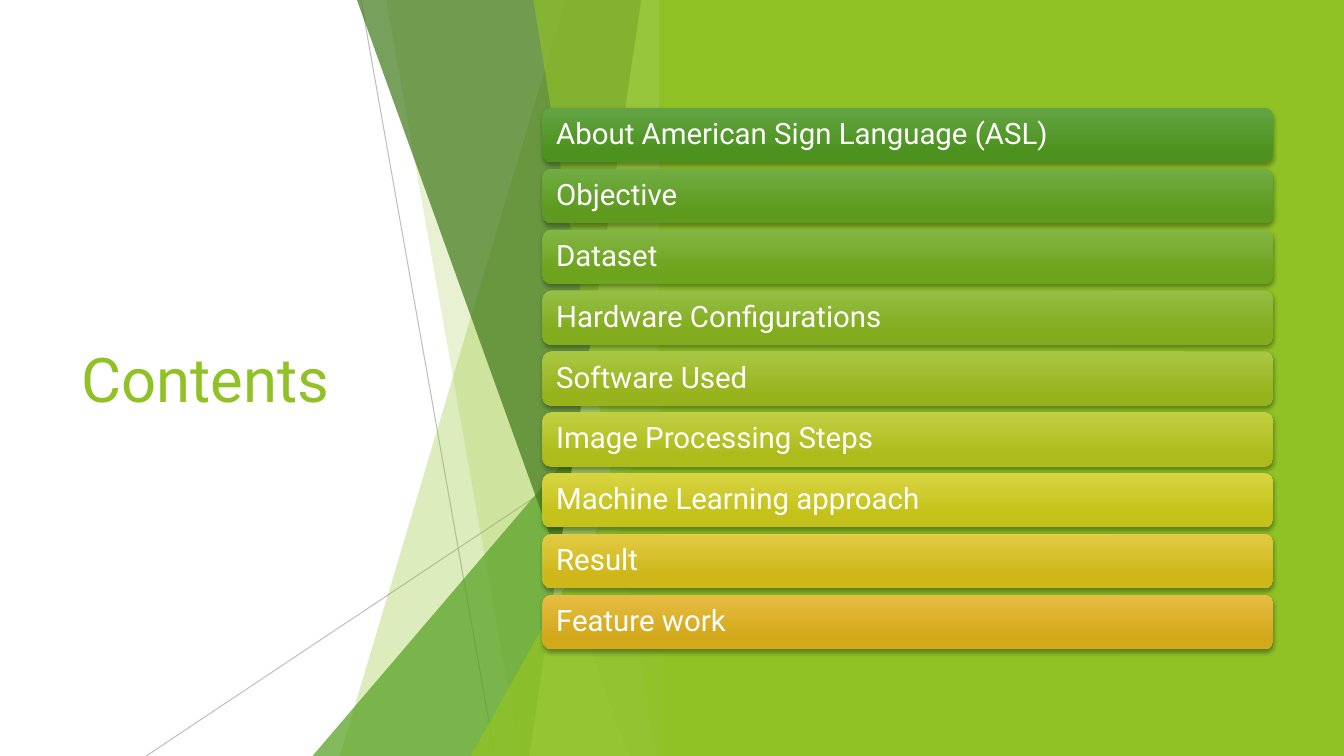
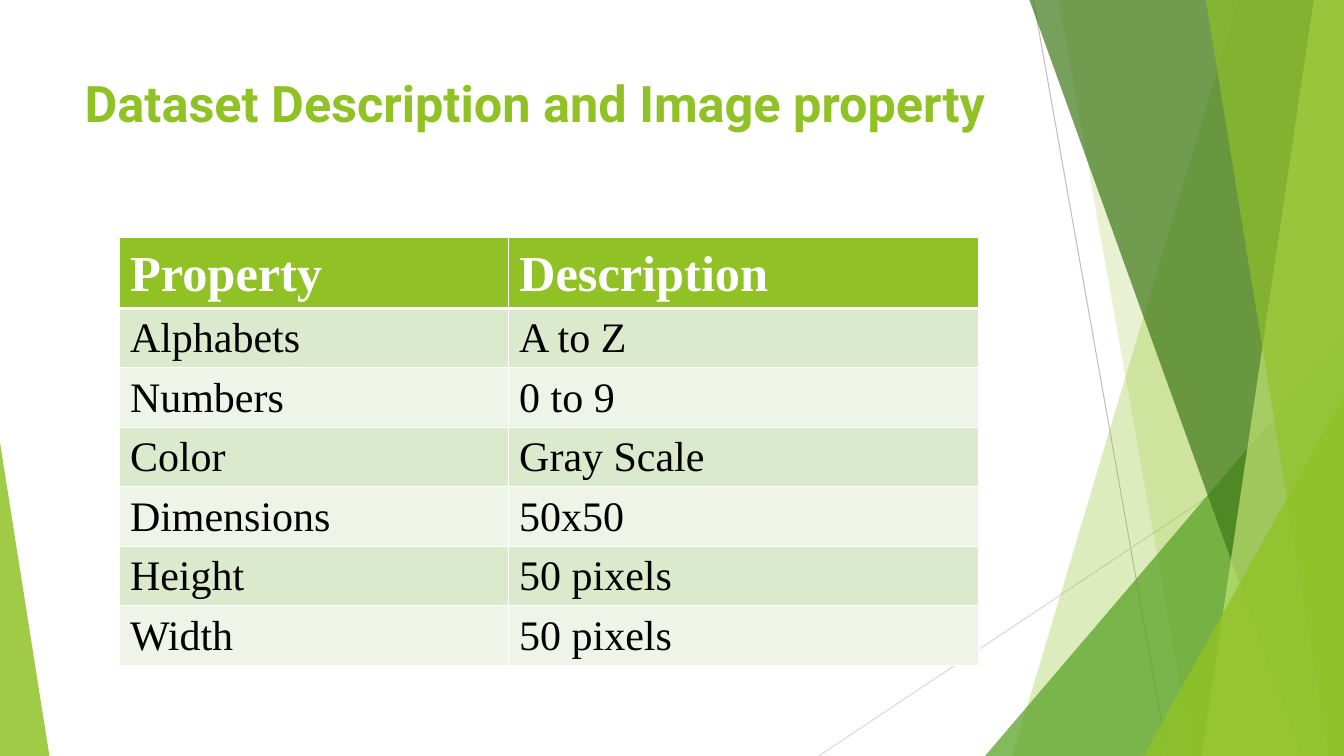
import pptx
import pptx.util
import pptx.dml.color
import pptx.enum.shapes
import pptx.enum.text
import pptx.oxml
import pptx.oxml.ns
import lxml.etree

EMU_PER_PX = 9144
WIDTH, HEIGHT = 1333, 750
TITLE_ONLY = 5

COLORS = {
    "green": "90C226", "mid": "54A021", "dark": "3F7819", "lime": "C0E474",
    "ray": "BFBFBF", "pale ray": "D9D9D9", "white": "FFFFFF", "black": "000000",
    "odd row": "DBE9CD", "even row": "EEF4E8",
}
SHAPES = pptx.enum.shapes.MSO_SHAPE
ALIGN = pptx.enum.text.PP_ALIGN
ANCHOR = pptx.enum.text.MSO_ANCHOR

# Blades give their top and bottom x, peaks their left and top; all end at the right edge.
FACETS = [
    ("blade", 1228, 1004, "green", 30),
    ("blade", 1050, 1183, "green", 20),
    ("peak", 977, 333, "mid", 72),
    ("blade", 1021, 1291, "dark", 70),
    ("blade", 1303, 1192, "lime", 70),
    ("blade", 1196, 1318, "green", 65),
    ("peak", 1134, 393, "green", 80),
]
RAYS = [((1025, 0), (1158, 750)), ((1333, 403), (812, 750))]

# Each topic has the upper and lower colour of its bar.
TOPICS = [
    ("About American Sign Language (ASL)", "63A545", "4D921E"),
    ("Objective", "71AD44", "5D9A1E"),
    ("Dataset", "82B644", "6EA31D"),
    ("Hardware Configurations", "95BE44", "82AB1D"),
    ("Software Used", "AAC744", "97B31C"),
    ("Image Processing Steps", "C2CF43", "AEBC1B"),
    ("Machine Learning approach", "D8D543", "C4C11A"),
    ("Result", "E2CB43", "CDB719"),
    ("Feature work", "E7BC43", "D2A91B"),
]
PROPERTIES = [
    ("Property", "Description"),
    ("Alphabets", "A to Z"),
    ("Numbers", "0 to 9"),
    ("Color", "Gray Scale"),
    ("Dimensions", "50x50"),
    ("Height", "50 pixels"),
    ("Width", "50 pixels"),
]


def px(length):
    return pptx.util.Emu(round(length * EMU_PER_PX))


def rgb(color):
    return pptx.dml.color.RGBColor.from_string(COLORS.get(color, color))


def assign(target, values):
    for name, value in values.items():
        setattr(target, name, value)


def write(frame, text, size, color, font="Roboto", bold=False, **paragraph_format):
    """Put one formatted paragraph into a text frame."""
    paragraph = frame.paragraphs[0]
    assign(paragraph, paragraph_format)
    run = paragraph.add_run()
    run.text = text
    assign(run.font, {"name": font, "size": pptx.util.Pt(size), "bold": bold})
    run.font.color.rgb = rgb(color)


def set_title(slide, text, box, size, anchor, bold=False):
    title = slide.shapes.title
    assign(title, dict(zip(("left", "top", "width", "height"), map(px, box))))
    assign(title.text_frame, {"vertical_anchor": anchor, "word_wrap": True,
                              "auto_size": pptx.enum.text.MSO_AUTO_SIZE.NONE})
    write(title.text_frame, text, size, "green", bold=bold, alignment=ALIGN.LEFT)


def paint(shape, color, opacity=100):
    """Give a shape a flat fill without outline or shadow."""
    shape.shadow.inherit = False
    shape.line.fill.background()
    shape.fill.solid()
    shape.fill.fore_color.rgb = rgb(color)
    if opacity < 100:
        tint = shape._element.spPr.find(".//" + pptx.oxml.ns.qn("a:srgbClr"))
        lxml.etree.SubElement(tint, pptx.oxml.ns.qn("a:alpha"), val=str(opacity * 1000))


def add_block(slide, kind, left, top, width, height):
    return slide.shapes.add_shape(kind, *map(px, (left, top, width, height)))


def add_peak(slide, left, top, right, apex, color, opacity):
    """Add a right triangle on the bottom edge; apex is 0 for left, 1 for right."""
    peak = add_block(slide, SHAPES.ISOSCELES_TRIANGLE, left, top, right - left, HEIGHT - top)
    peak.adjustments[0] = apex
    paint(peak, color, opacity)


def add_blade(slide, top_x, bottom_x, right, color, opacity):
    outline = slide.shapes.build_freeform(px(top_x), px(0))
    corners = [(right, 0), (right, HEIGHT), (bottom_x, HEIGHT)]
    outline.add_line_segments([(px(x), px(y)) for x, y in corners])
    paint(outline.convert_to_shape(), color, opacity)


def add_ray(slide, start, end, color):
    ray = slide.shapes.add_connector(
        pptx.enum.shapes.MSO_CONNECTOR.STRAIGHT, *map(px, start + end))
    ray.line.width = pptx.util.Pt(0.75)
    ray.line.color.rgb = rgb(color)
    lxml.etree.SubElement(ray._element.spPr, pptx.oxml.ns.qn("a:effectLst"))


def add_facets(slide, right, ray_colors):
    """Draw the faceted band so that it ends at the given x."""
    shift = right - WIDTH
    for ((x1, y1), (x2, y2)), color in zip(RAYS, ray_colors):
        add_ray(slide, (x1 + shift, y1), (x2 + shift, y2), color)
    for kind, first, second, color, opacity in FACETS:
        if kind == "blade":
            add_blade(slide, first + shift, second + shift, right, color, opacity)
        else:
            add_peak(slide, first + shift, second, right, 1, color, opacity)


def add_topic_bar(slide, top, topic, upper, lower):
    bar = add_block(slide, SHAPES.ROUNDED_RECTANGLE, 538, top, 725, 54)
    bar.line.fill.background()
    bar.fill.gradient()
    bar.fill.gradient_angle = 270
    for stop, color, position in zip(bar.fill.gradient_stops, (upper, lower), (0, 0.78)):
        stop.color.rgb = rgb(color)
        stop.position = position
    bar.shadow.inherit = False
    effects = bar._element.spPr.find(pptx.oxml.ns.qn("a:effectLst"))
    effects.append(pptx.oxml.parse_xml(
        f'<a:outerShdw {pptx.oxml.ns.nsdecls("a")} blurRad="38100" dist="25400" dir="5400000"'
        ' rotWithShape="0"><a:srgbClr val="000000"><a:alpha val="35000"/></a:srgbClr>'
        '</a:outerShdw>'))
    assign(bar.text_frame, {"margin_left": px(11), "margin_right": px(11), "margin_top": 0,
                            "margin_bottom": 0, "word_wrap": True,
                            "vertical_anchor": ANCHOR.MIDDLE})
    write(bar.text_frame, topic, 21, "white", alignment=ALIGN.LEFT, line_spacing=0.9)


def add_borders(cell, bottom_width):
    widths = {"lnL": 1, "lnR": 1, "lnT": 1, "lnB": bottom_width}
    for side, width in widths.items():
        cell._tc.get_or_add_tcPr().append(pptx.oxml.parse_xml(
            f'<a:{side} {pptx.oxml.ns.nsdecls("a")} w="{width * 12700}"><a:solidFill>'
            f'<a:srgbClr val="{COLORS["white"]}"/></a:solidFill></a:{side}>'))


def add_property_table(slide):
    column_widths = (386, 467)
    row_heights = [70] + [59] * (len(PROPERTIES) - 1)
    table = slide.shapes.add_table(
        len(row_heights), len(column_widths), px(118), px(236),
        px(sum(column_widths)), px(sum(row_heights))).table
    for column, width in zip(table.columns, column_widths):
        column.width = px(width)
    for index, (row, height) in enumerate(zip(table.rows, row_heights)):
        row.height = px(height)
        header = index == 0
        fill = "green" if header else "odd row" if index % 2 else "even row"
        for cell, text in zip(row.cells, PROPERTIES[index]):
            add_borders(cell, 3 if header else 1)
            cell.fill.solid()
            cell.fill.fore_color.rgb = rgb(fill)
            assign(cell, {"margin_left": px(11), "margin_right": px(11),
                          "margin_top": 0, "margin_bottom": 0})
            write(cell.text_frame, text, 36 if header else 30,
                  "white" if header else "black", "Times New Roman", header,
                  alignment=ALIGN.JUSTIFY, line_spacing=1.15)


def build_contents(slide):
    set_title(slide, "Contents", (71, 151, 388, 448), 44, ANCHOR.MIDDLE)
    add_facets(slide, 666, ("ray", "ray"))
    paint(add_block(slide, SHAPES.RECTANGLE, 654, 0, WIDTH - 654, HEIGHT), "green")
    first_top, last_top = 107, 590
    pitch = (last_top - first_top) / (len(TOPICS) - 1)
    for index, topic in enumerate(TOPICS):
        add_topic_bar(slide, first_top + index * pitch, *topic)


def build_dataset(slide):
    set_title(slide, "Dataset Description and Image property", (74, 67, 940, 144), 36,
              ANCHOR.TOP, bold=True)
    add_facets(slide, WIDTH, ("ray", "pale ray"))
    add_peak(slide, 0, 439, 49, 0, "green", 85)
    add_property_table(slide)


def main():
    deck = pptx.Presentation()
    assign(deck, {"slide_width": px(WIDTH), "slide_height": px(HEIGHT)})
    for build in (build_contents, build_dataset):
        build(deck.slides.add_slide(deck.slide_layouts[TITLE_ONLY]))
    deck.save("out.pptx")


if __name__ == "__main__":
    main()
